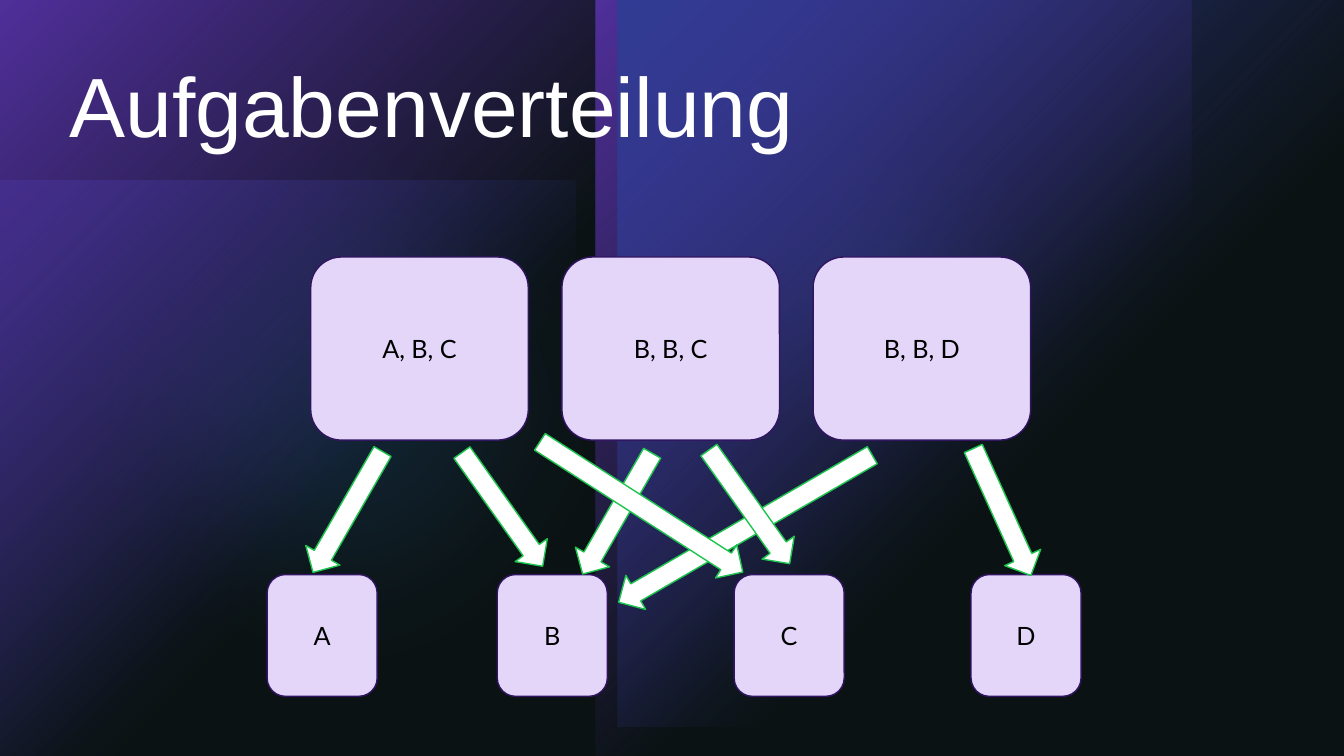
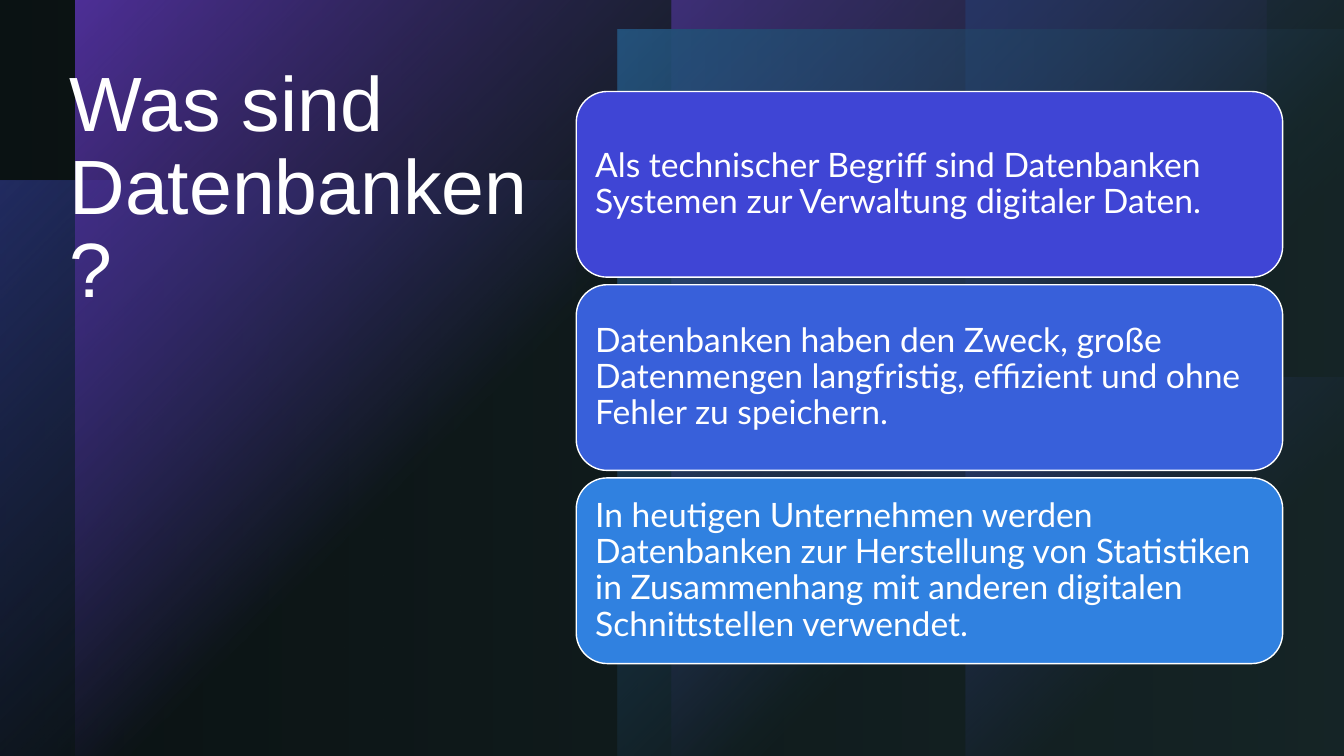
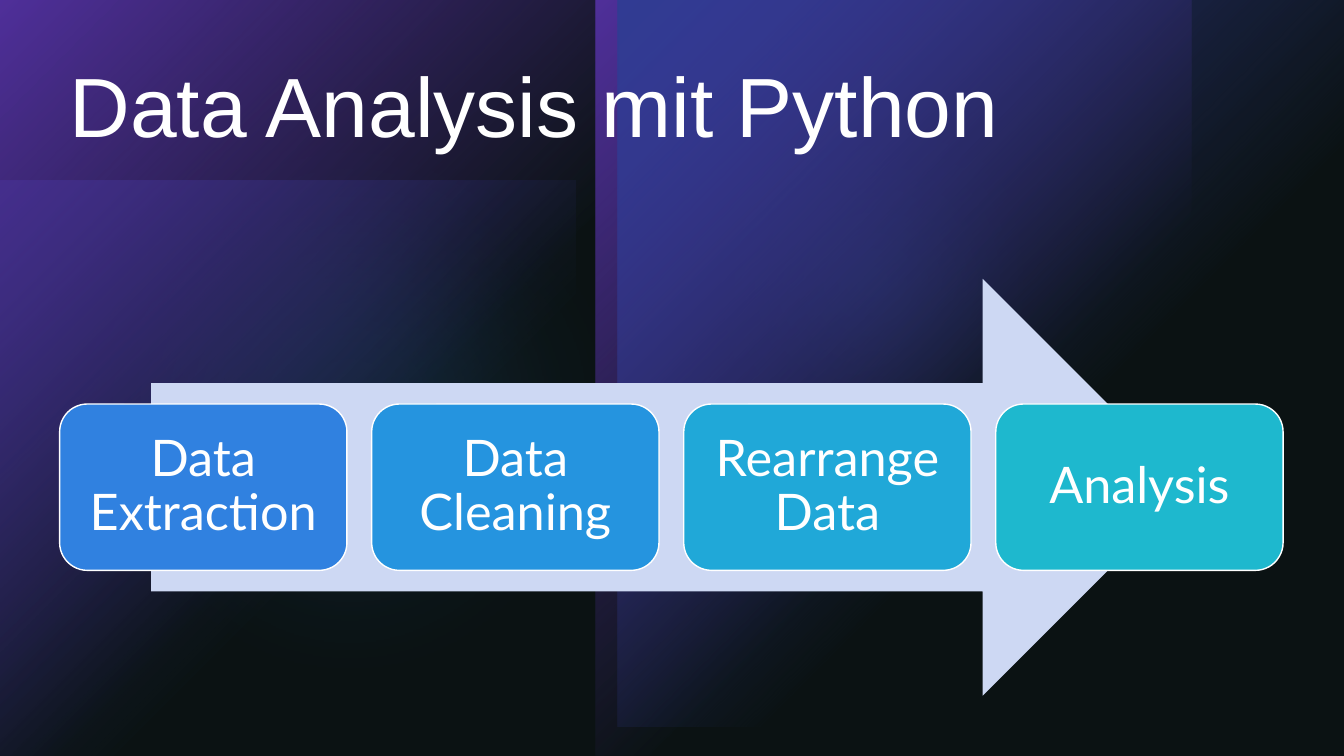
"""Builds three German slides on databases and data analysis."""
from dataclasses import dataclass

from pptx import Presentation
from pptx import util as u
from pptx.dml.color import RGBColor
from pptx.enum import shapes, text
from pptx.oxml import parse_xml
from pptx.oxml.ns import nsdecls

COLOURS = {
    "black": "000000", "white": "FFFFFF", "veil": "1C2F31",
    "violet": "7230E0", "indigo": "3F45D5", "royal": "3860DA",
    "azure": "3081E0", "sky": "2594DF", "cyan": "20A8D8", "teal": "1EB8CE",
    "lilac": "E3D6F9", "plum": "321562", "green": "1DC54E", "mist": "CDD8F3",
}
COLUMNS, ROWS = 160, 90
WIDTH, HEIGHT = u.Inches(13.333), u.Inches(7.5)
MARGIN = 7.1
HEADING_FONT, BODY_FONT = "Arial", "Lato"
KIND = shapes.MSO_SHAPE
SOFT_EDGE = u.Pt(100)


@dataclass(frozen=True)
class Area:
    """A rectangle in grid columns and rows."""
    left: float
    top: float
    width: float
    height: float

    def lengths(self) -> tuple[int, int, int, int]:
        """Return the rectangle in slide units."""
        return (round(self.left * WIDTH / COLUMNS), round(self.top * HEIGHT / ROWS),
                round(self.width * WIDTH / COLUMNS), round(self.height * HEIGHT / ROWS))


@dataclass(frozen=True)
class Glow:
    """A translucent patch of the backdrop, a fading panel or a soft disc."""
    area: Area
    colour: str
    opacity: int = 100
    disc: bool = False


@dataclass(frozen=True)
class Style:
    """The look of a rounded card and its words."""
    size: int
    ink: str
    edge: str
    align: text.PP_ALIGN = text.PP_ALIGN.CENTER
    inset: float = 0.1
    spacing: float = 0.9


@dataclass(frozen=True)
class Arrow:
    """A turned block arrow of the distribution diagram."""
    left: float
    top: float
    length: float
    angle: float


FULL = Area(0, 0, COLUMNS, ROWS)
CORNER = Glow(Area(0, 21.5, 68.5, 68.5), "indigo", 60)
SPLIT_BACKDROP = [
    CORNER,
    Glow(Area(75.5, 5.2, 56.6, 56.6), "azure", 60, True),
    Glow(Area(0, 6.7, 83.3, 83.3), "azure", 20, True),
    *[Glow(Area(left, 0, 70.9, ROWS), "violet") for left in (0, 70.9)],
    Glow(Area(73.5, 0, 86.5, 86.5), "indigo"),
]
LAYERED_BACKDROP = [
    CORNER,
    Glow(Area(83.8, 0, 56.6, 56.6), "azure", 96, True),
    Glow(Area(80.3, 16.2, 72.2, 72.2), "indigo", 60, True),
    *[Glow(Area(left, 0, 70.9, ROWS), "violet") for left in (79.9, 9)],
    *[Glow(Area(115, top, 45, 45), "indigo") for top in (45, 0)],
    Glow(Area(73.5, 3.5, 86.5, 86.5), "azure"),
]
TASK_STYLE = Style(18, "black", "plum", spacing=1)
FACT_STYLE = Style(24, "white", "white", text.PP_ALIGN.LEFT)
STEP_STYLE = Style(36, "white", "white", inset=0.15)

TEAMS = ["A, B, C", "B, B, C", "B, B, D"]
TASKS = {"A": 31.8, "B": 59.2, "C": 87.4, "D": 115.6}
ARROWS = [
    Arrow(33.1, 58.6, 16.6, 119.9), Arrow(65.2, 58.8, 16.6, 119.9),
    Arrow(111, 58.6, 16.6, 65.6), Arrow(71.3, 60.6, 34.9, 149.9),
    Arrow(51.5, 58.3, 16.6, 54.6), Arrow(62, 58, 28.7, 32.7),
    Arrow(80.9, 58, 16.6, 54.6),
]
FACTS = [
    ("Als technischer Begriff sind Datenbanken Systemen zur Verwaltung digitaler Daten.",
     "indigo"),
    ("Datenbanken haben den Zweck, große Datenmengen langfristig, effizient und ohne "
     "Fehler zu speichern.", "royal"),
    ("In heutigen Unternehmen werden Datenbanken zur Herstellung von Statistiken in "
     "Zusammenhang mit anderen digitalen Schnittstellen verwendet.", "azure"),
]
STEPS = [("Data Extraction", "azure"), ("Data Cleaning", "sky"),
         ("Rearrange Data", "cyan"), ("Analysis", "teal")]


def rgb(name: str) -> RGBColor:
    """Return a named colour."""
    return RGBColor.from_string(COLOURS[name])


def colour_xml(name: str, opacity: int) -> str:
    """Return a colour element with its opacity in percent."""
    return (f'<a:srgbClr val="{COLOURS[name]}">'
            f'<a:alpha val="{opacity * 1000}"/></a:srgbClr>')


def solid_xml(name: str, opacity: int) -> str:
    """Return an even translucent fill."""
    return f'<a:solidFill {nsdecls("a")}>{colour_xml(name, opacity)}</a:solidFill>'


def gradient_xml(name: str, stops: list[tuple[int, int]], direction: str) -> str:
    """Return a fill of one colour whose opacity changes by stop."""
    marks = "".join(f'<a:gs pos="{place * 1000}">{colour_xml(name, opacity)}</a:gs>'
                    for place, opacity in stops)
    return (f'<a:gradFill {nsdecls("a")} rotWithShape="1">'
            f'<a:gsLst>{marks}</a:gsLst>{direction}</a:gradFill>')


def add_block(page, kind, area: Area, colour: str, edge: str | None = None):
    """Add a flat preset shape."""
    block = page.shapes.add_shape(kind, *area.lengths())
    block.shadow.inherit = False
    block.fill.solid()
    block.fill.fore_color.rgb = rgb(colour)
    if edge:
        block.line.color.rgb = rgb(edge)
        block.line.width = u.Pt(1)
    else:
        block.line.fill.background()
    return block


def add_translucent(page, kind, area: Area, colour: str, fill: str):
    """Add a shape whose fill is given as markup."""
    block = add_block(page, kind, area, colour)
    plain = block._element.spPr.find("{*}solidFill")
    plain.getparent().replace(plain, parse_xml(fill))
    return block


def add_glow(page, glow: Glow) -> None:
    """Add one patch of the backdrop."""
    if glow.disc:
        disc = add_translucent(page, KIND.OVAL, glow.area, glow.colour,
                               solid_xml(glow.colour, glow.opacity))
        disc._element.spPr.find("{*}effectLst").append(
            parse_xml(f'<a:softEdge {nsdecls("a")} rad="{SOFT_EDGE}"/>'))
        return
    direction = '<a:path path="circle"><a:fillToRect r="100000" b="100000"/></a:path>'
    add_translucent(page, KIND.RECTANGLE, glow.area, glow.colour,
                    gradient_xml(glow.colour, [(0, glow.opacity), (60, 0)], direction))


def write(frame, words: str, size: int, font: str, colour: str, spacing: float,
          align: text.PP_ALIGN) -> None:
    """Write one paragraph into a text frame."""
    frame.word_wrap = True
    para = frame.paragraphs[0]
    para.alignment = align
    para.line_spacing = spacing
    span = para.add_run()
    span.text = words
    span.font.size = u.Pt(size)
    span.font.name = font
    span.font.color.rgb = rgb(colour)


def add_card(page, area: Area, words: str, colour: str, style: Style) -> None:
    """Add a rounded card with centred height of text."""
    card = add_block(page, KIND.ROUNDED_RECTANGLE, area, colour, style.edge)
    frame = card.text_frame
    frame.vertical_anchor = text.MSO_ANCHOR.MIDDLE
    frame.margin_left = frame.margin_right = u.Inches(style.inset)
    frame.margin_top = frame.margin_bottom = u.Inches(style.inset)
    write(frame, words, style.size, BODY_FONT, style.ink, style.spacing, style.align)


def add_page(deck, backdrop: list[Glow], veil: str, title: str, size: int, area: Area):
    """Add a slide with its backdrop, veil and title."""
    page = deck.slides.add_slide(deck.slide_layouts[6])
    page.background.fill.solid()
    page.background.fill.fore_color.rgb = rgb("black")
    for glow in backdrop:
        add_glow(page, glow)
    add_translucent(page, KIND.RECTANGLE, FULL, "veil", veil)
    box = page.shapes.add_textbox(*area.lengths())
    write(box.text_frame, title, size, HEADING_FONT, "white", 0.9, text.PP_ALIGN.LEFT)
    return page


def add_split_page(deck, title: str):
    """Add a slide with the split backdrop and a wide title."""
    return add_page(deck, SPLIT_BACKDROP, solid_xml("veil", 40), title, 60,
                    Area(MARGIN, MARGIN, 145.7, 23.8))


def add_distribution(deck) -> None:
    """Add the slide that spreads tasks over groups."""
    page = add_split_page(deck, "Aufgabenverteilung")
    for column, team in enumerate(TEAMS):
        add_card(page, Area(37 + 29.9 * column, 30.6, 25.9, 21.8), team, "lilac",
                 TASK_STYLE)
    for task, left in TASKS.items():
        add_card(page, Area(left, 68.4, 13.1, 14.5), task, "lilac", TASK_STYLE)
    for arrow in ARROWS:
        block = add_block(page, KIND.RIGHT_ARROW,
                          Area(arrow.left, arrow.top, arrow.length, 4.7),
                          "white", "green")
        block.rotation = arrow.angle


def add_definition(deck) -> None:
    """Add the slide that explains databases."""
    veil = gradient_xml("veil", [(0, 40), (100, 80)], '<a:lin ang="0" scaled="0"/>')
    page = add_page(deck, LAYERED_BACKDROP, veil, "Was sind Datenbanken?", 55,
                    Area(MARGIN, MARGIN, 59, 75.6))
    for row, (fact, colour) in enumerate(FACTS):
        add_card(page, Area(68.6, 10.9 + 23 * row, 84.1, 22.1), fact, colour, FACT_STYLE)


def add_process(deck) -> None:
    """Add the slide with the steps of an analysis."""
    page = add_split_page(deck, "Data Analysis mit Python")
    add_block(page, KIND.RIGHT_ARROW, Area(18, 33.2, 123.8, 49.6), "mist")
    for column, (step, colour) in enumerate(STEPS):
        add_card(page, Area(MARGIN + 37.15 * column, 48.1, 34.2, 19.8), step, colour,
                 STEP_STYLE)


def main() -> None:
    """Build and save the deck."""
    deck = Presentation()
    deck.slide_width, deck.slide_height = WIDTH, HEIGHT
    add_distribution(deck)
    add_definition(deck)
    add_process(deck)
    deck.save("out.pptx")


if __name__ == "__main__":
    main()
